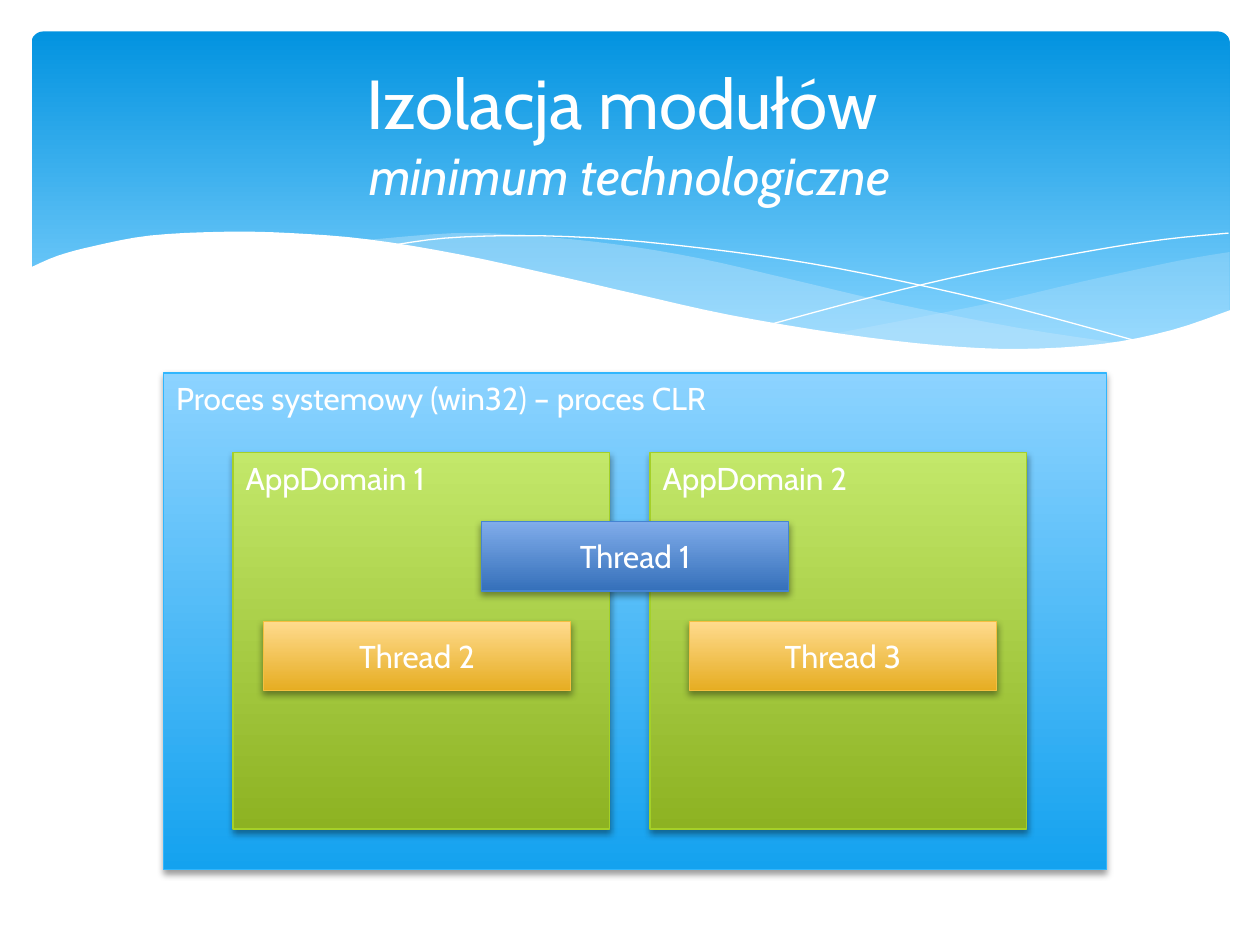
from lxml import etree
from pptx import Presentation
from pptx import util as u
from pptx.dml.color import RGBColor
from pptx.enum import shapes, text
from pptx.oxml import ns

theme = {
    "font": "Cabin", "head": 39.6, "sub": 29.7, "body": 18,
    "white": "FFFFFF", "mist": "C6E7FC",
    "sky": ("0293E0", "83D3FE", None),
    "blue": ("8CD3FF", "14A2EF", "31B6FD"),
    "green": ("C3E86A", "8DB222", "A5D028"),
    "navy": ("80ACEA", "3570BA", "4584D3"),
    "gold": ("FFDB8E", "E6AD22", "F5C040"),
}
rgb = RGBColor.from_string

deck = Presentation()
deck.slide_width, deck.slide_height = u.Inches(10), u.Inches(7.5)
col, row = deck.slide_width / 100, deck.slide_height / 75
slide = deck.slides.add_slide(deck.slide_layouts[5])
title = slide.shapes.title
tree = title.element.getparent()


def box(kind, x, y, w, h, tone, words="", mid=False):
    shape = slide.shapes.add_shape(
        kind, round(x * col), round(y * row), round(w * col), round(h * row))
    shape.shadow.inherit = False
    top, base, edge = theme[tone]
    shape.fill.gradient()
    shape.fill.gradient_angle = 270
    for stop, tint in zip(shape.fill.gradient_stops, (top, base)):
        stop.color.rgb = rgb(tint)
    if not edge:
        shape.fill.gradient_stops[1].position = 0.9
        shape.line.fill.background()
        return shape
    shape.line.color.rgb = rgb(edge)
    shape.line.width = u.Pt(0.75)
    glow = shape.element.spPr.find(ns.qn("a:effectLst"))
    drop = etree.SubElement(glow, ns.qn("a:outerShdw"), blurRad=str(u.Pt(4)),
                            dist=str(u.Pt(2)), dir="5400000", rotWithShape="0")
    shade = etree.SubElement(drop, ns.qn("a:srgbClr"), val="000000")
    etree.SubElement(shade, ns.qn("a:alpha"), val="38000")
    frame = shape.text_frame
    frame.word_wrap = True
    frame.vertical_anchor = text.MSO_ANCHOR.MIDDLE if mid else text.MSO_ANCHOR.TOP
    para = frame.paragraphs[0]
    para.alignment = text.PP_ALIGN.CENTER if mid else text.PP_ALIGN.LEFT
    run = para.add_run()
    run.text = words
    run.font.name, run.font.size = theme["font"], u.Pt(theme["body"])
    run.font.color.rgb = rgb(theme["white"])
    return shape


def wave(edges, tint=None, alpha=100):
    dots = []
    for edge in edges:
        ends = [edge[0], *edge, edge[-1]]
        for a, b, c, d in zip(ends, ends[1:], ends[2:], ends[3:]):
            for t in (0, 0.25, 0.5, 0.75):
                dots.append([
                    (2 * q + (r - p) * t + (2 * p - 5 * q + 4 * r - s) * t**2
                     + (3 * q - p - 3 * r + s) * t**3) / 2
                    for p, q, r, s in zip(a, b, c, d)])
        dots.append(edge[-1])
    dots = [(round(x * 10 * col), round(y * 10 * row)) for x, y in dots]
    pen = slide.shapes.build_freeform(*dots[0])
    pen.add_line_segments(dots[1:], close=bool(tint))
    shape = pen.convert_to_shape()
    shape.shadow.inherit = False
    if tint:
        shape.fill.solid()
        shape.fill.fore_color.rgb = rgb(theme[tint])
        shape.line.fill.background()
        if alpha < 100:
            shade = shape.element.spPr.find(ns.qn("a:solidFill"))[0]
            etree.SubElement(shade, ns.qn("a:alpha"), val=str(alpha * 1000))
    else:
        shape.fill.background()
        shape.line.color.rgb = rgb(theme["white"])
        shape.line.width = 0


rect = shapes.MSO_SHAPE.RECTANGLE
sky = box(shapes.MSO_SHAPE.ROUNDED_RECTANGLE, 2.5, 2.5, 95.1, 27, "sky")
sky.adjustments[0] = 0.034

wave([[(9.76, 2), (9.35, 2.07), (8.61, 2.23), (7.79, 2.42), (6.61, 2.65)],
      [(6.61, 2.65), (7.32, 2.74), (8.03, 2.78), (8.72, 2.74), (9.28, 2.63),
       (9.76, 2.47)]], "mist", 29)
wave([[(8.93, 2.73), (8.07, 2.6), (7.06, 2.4), (6.29, 2.22), (5.55, 2.05),
       (4.89, 1.94), (4.2, 1.87), (3.61, 1.85), (2.86, 1.91)],
      [(2.86, 1.91), (3.62, 2.03), (4.49, 2.22), (5.3, 2.4), (6.18, 2.58),
       (6.95, 2.7), (7.61, 2.77), (8.28, 2.78), (8.93, 2.73)]], "mist", 40)
wave([[(3.09, 1.95), (3.53, 1.89), (4.16, 1.87), (4.89, 1.9), (5.82, 2),
       (6.65, 2.13), (7.6, 2.33), (8.31, 2.51), (9.07, 2.72)]])
wave([[(6.13, 2.57), (6.95, 2.35), (7.76, 2.16), (8.66, 1.99), (9.24, 1.9),
       (9.75, 1.85)]])
wave([[(9.77, 2.46), (9.3, 2.62), (8.75, 2.73), (8.09, 2.77), (7.44, 2.74),
       (6.68, 2.65), (5.79, 2.5), (5.03, 2.33), (4.47, 2.2), (3.65, 2.02),
       (2.92, 1.9), (2.3, 1.85), (1.77, 1.84), (1.19, 1.87), (0.76, 1.95),
       (0.46, 2.03), (0.23, 2.13)],
      [(0.23, 3.29), (9.77, 3.29)]], "white")

tree.append(title.element)
title.left, title.top = round(5 * col), round(3.7 * row)
title.width, title.height = round(90 * col), round(13.7 * row)
frame = title.text_frame
frame.word_wrap = True
frame.vertical_anchor = text.MSO_ANCHOR.MIDDLE
para = frame.paragraphs[0]
para.alignment = text.PP_ALIGN.CENTER
for words, size in (("Izolacja modułów ", "head"), ("minimum technologiczne", "sub")):
    if size == "sub":
        para.add_line_break()
    run = para.add_run()
    run.text = words
    run.font.name, run.font.size = theme["font"], u.Pt(theme[size])
    run.font.italic = size == "sub"
    run.font.color.rgb = rgb(theme["white"])

box(rect, 13, 29.6, 74.8, 39.4, "blue", "Proces systemowy (win32) – proces CLR")
for i in range(2):
    box(rect, 18.5 + 33.1 * i, 35.9, 29.9, 29.9, "green", f"AppDomain {i + 1}")
threads = [(38.2, 41.4, "navy"), (20.9, 49.3, "gold"), (54.7, 49.3, "gold")]
for n, (x, y, tone) in enumerate(threads, 1):
    box(rect, x, y, 24.4, 5.5, tone, f"Thread {n}", mid=True)

deck.save("out.pptx")
